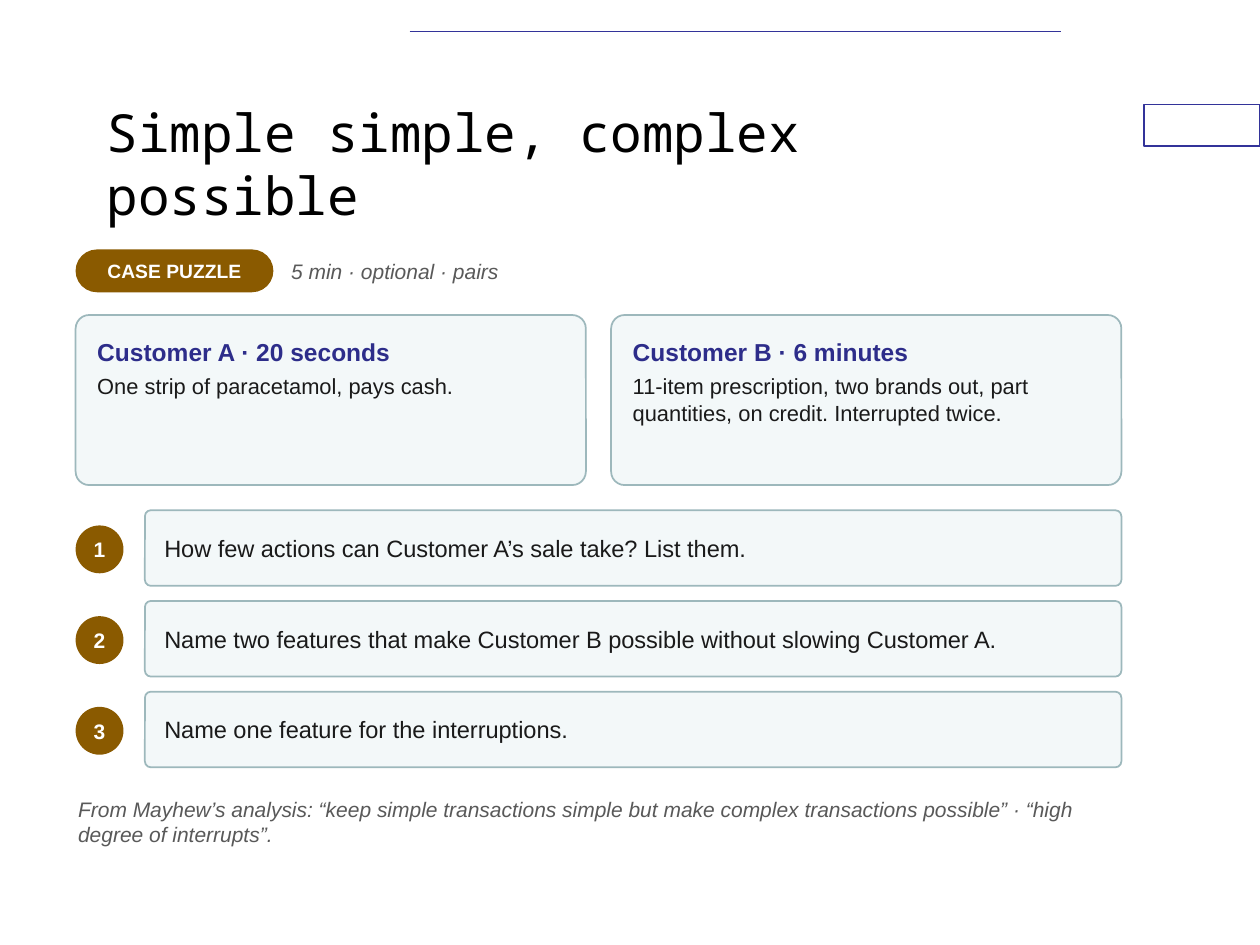
from pptx import Presentation
from pptx.dml.color import RGBColor
from pptx.enum.shapes import MSO_CONNECTOR, MSO_SHAPE
from pptx.enum.text import MSO_ANCHOR, PP_ALIGN
from pptx.oxml.ns import qn
from pptx.util import Pt
from lxml import etree

PX = 9144  # EMU; 100 px to the inch
RECTANGLE, ROUNDED, OVAL = MSO_SHAPE.RECTANGLE, MSO_SHAPE.ROUNDED_RECTANGLE, MSO_SHAPE.OVAL
STRAIGHT = MSO_CONNECTOR.STRAIGHT
TOP, MIDDLE = MSO_ANCHOR.TOP, MSO_ANCHOR.MIDDLE
LEFT, CENTER = PP_ALIGN.LEFT, PP_ALIGN.CENTER

CUSTOMERS = [
    ("Customer A · 20 seconds", "One strip of paracetamol, pays cash."),
    ("Customer B · 6 minutes",
     "11-item prescription, two brands out, part quantities, on credit. Interrupted twice."),
]
QUESTIONS = [
    "How few actions can Customer A’s sale take? List them.",
    "Name two features that make Customer B possible without slowing Customer A.",
    "Name one feature for the interruptions.",
]
SOURCE_NOTE = ("From Mayhew’s analysis: “keep simple transactions simple but make complex "
               "transactions possible” · “high degree of interrupts”.")


def rgb(value):
    return RGBColor.from_string(value)


def emu(*lengths):
    return [length * PX for length in lengths]


def write(paragraph, text, size, color, font="Arial", bold=False, italic=False,
          align=LEFT, before=0):
    paragraph.alignment = align
    if before:
        paragraph.space_before = Pt(before)
    run = paragraph.add_run()
    run.text = text
    run.font.name = font
    run.font.size = Pt(size)
    run.font.bold = bold
    run.font.italic = italic
    run.font.color.rgb = rgb(color)


class CaseSlide:
    """Style and current slide, with one method for each kind of element."""
    accent, navy, rule = "8A5A00", "2D2D8A", "333399"
    ink, muted, white, black = "1A1A1A", "595959", "FFFFFF", "000000"
    panel_fill, panel_line = "F3F8F9", "9DB8BC"

    def __init__(self, slide):
        self.slide = slide

    def frame(self, shape, anchor, inset_x, inset_y):
        """Set up the text frame and return its first paragraph."""
        frame = shape.text_frame
        frame.word_wrap = True
        frame.vertical_anchor = anchor
        frame.margin_left = frame.margin_right = inset_x * PX
        frame.margin_top = frame.margin_bottom = inset_y * PX
        return frame.paragraphs[0]

    def shape(self, kind, box, fill, line=None, width=1, corner=None):
        shape = self.slide.shapes.add_shape(kind, *emu(*box))
        shape.shadow.inherit = False
        shape.fill.solid()
        shape.fill.fore_color.rgb = rgb(fill)
        if line:
            shape.line.color.rgb = rgb(line)
            shape.line.width = Pt(width)
        else:
            shape.line.fill.background()
        if corner is not None:
            shape.adjustments[0] = corner
        return shape

    def line(self, start, end):
        connector = self.slide.shapes.add_connector(STRAIGHT, *emu(*start, *end))
        connector.line.color.rgb = rgb(self.rule)
        connector.line.width = Pt(1)
        etree.SubElement(connector._element.spPr, qn("a:effectLst"))

    def text(self, box, text, anchor=TOP, inset_x=2, inset_y=2, **style):
        shape = self.slide.shapes.add_textbox(*emu(*box))
        write(self.frame(shape, anchor, inset_x, inset_y), text, **style)

    def note(self, box, text, anchor=TOP):
        self.text(box, text, anchor, size=12, color=self.muted, italic=True)

    def badge(self, kind, box, text, size, inset=0, corner=None):
        shape = self.shape(kind, box, self.accent, corner=corner)
        write(self.frame(shape, MIDDLE, inset, inset), text, size, self.white,
              bold=True, align=CENTER)

    def panel(self, box, anchor):
        """Draw a pale rounded panel and return its first paragraph and text frame."""
        shape = self.shape(ROUNDED, box, self.panel_fill, self.panel_line, corner=0.08)
        return self.frame(shape, anchor, 14, 14), shape.text_frame

    def customer(self, box, heading, detail):
        paragraph, frame = self.panel(box, TOP)
        write(paragraph, heading, 14, self.navy, bold=True)
        write(frame.add_paragraph(), detail, 12.5, self.ink, before=4)

    def question(self, number, top, text):
        height, badge_size = 60, 38
        badge_top = top + (height - badge_size) // 2 + 1
        self.badge(OVAL, (60, badge_top, badge_size, badge_size), str(number), 12)
        paragraph, _ = self.panel((115, top, 775, height), MIDDLE)
        write(paragraph, text, 13.5, self.ink)


def main():
    presentation = Presentation()
    presentation.slide_width, presentation.slide_height = emu(1000, 750)
    page = CaseSlide(presentation.slides.add_slide(presentation.slide_layouts[6]))

    page.shape(RECTANGLE, (908, 83, 92, 33), page.white, page.rule, width=0.75)
    page.line((325, 25), (842, 25))
    page.text((75, 67, 750, 125), "Simple simple, complex possible", MIDDLE, 10, 5,
              size=30, color=page.black, font="Noto Sans Mono")
    page.badge(ROUNDED, (60, 198, 157, 34), "CASE PUZZLE", 11, inset=3, corner=0.5)
    page.note((229, 198, 661, 34), "5 min · optional · pairs", MIDDLE)

    for column, (heading, detail) in enumerate(CUSTOMERS):
        page.customer((60 + column * 425, 250, 405, 135), heading, detail)
    for row, question in enumerate(QUESTIONS):
        page.question(row + 1, 405 + row * 72, question)
    page.note((60, 630, 830, 50), SOURCE_NOTE)

    presentation.save("out.pptx")


if __name__ == "__main__":
    main()
